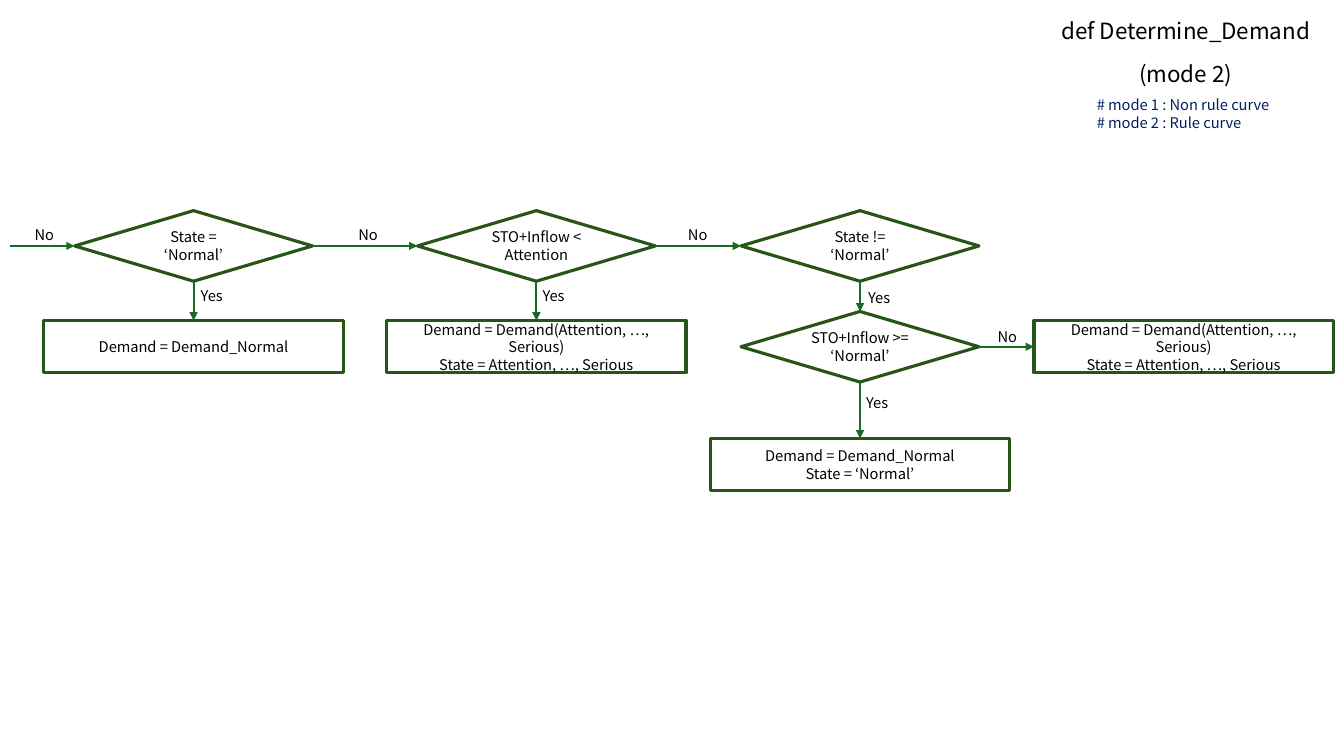
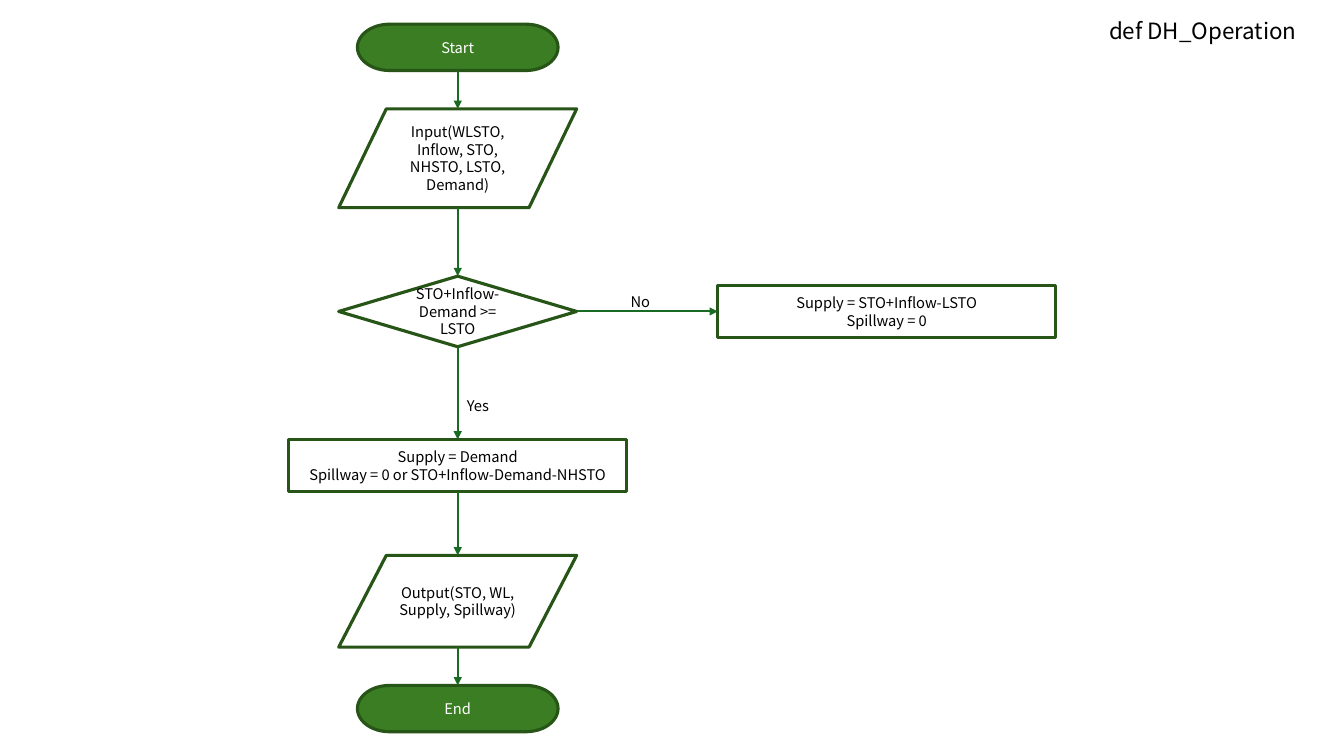
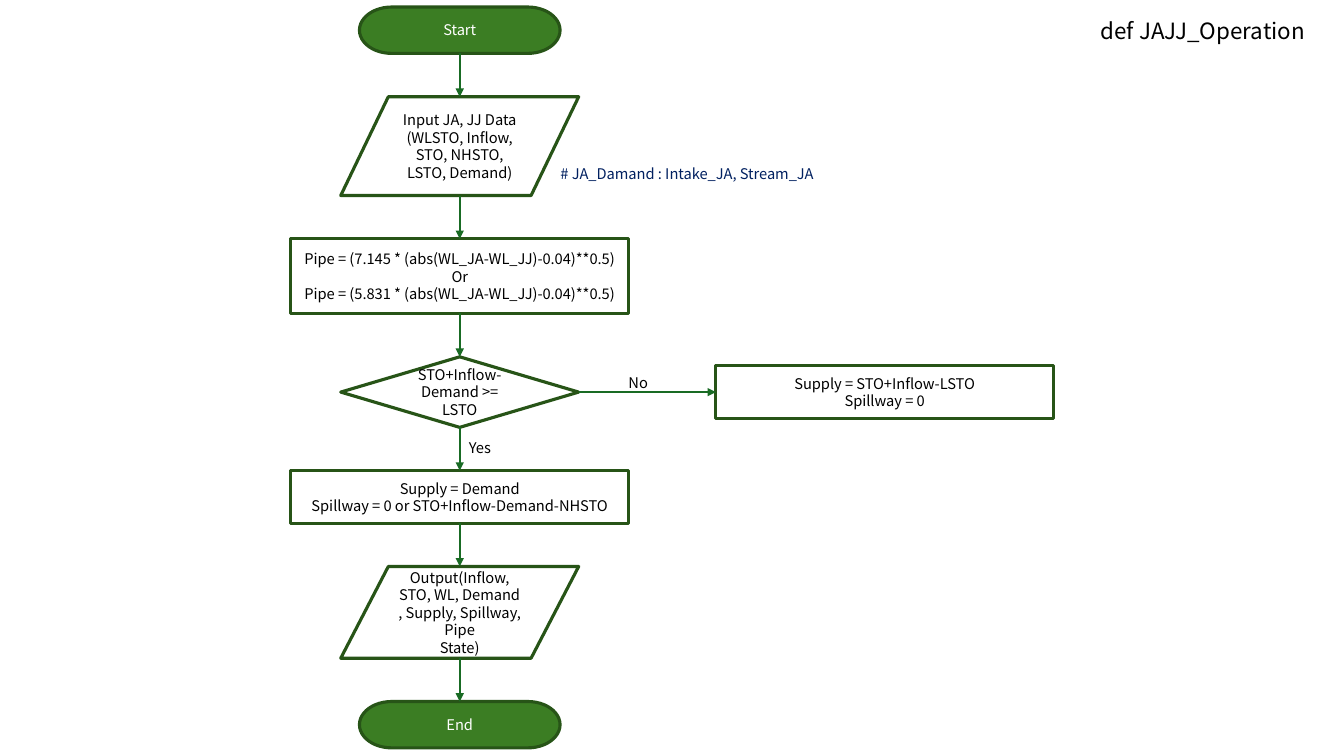
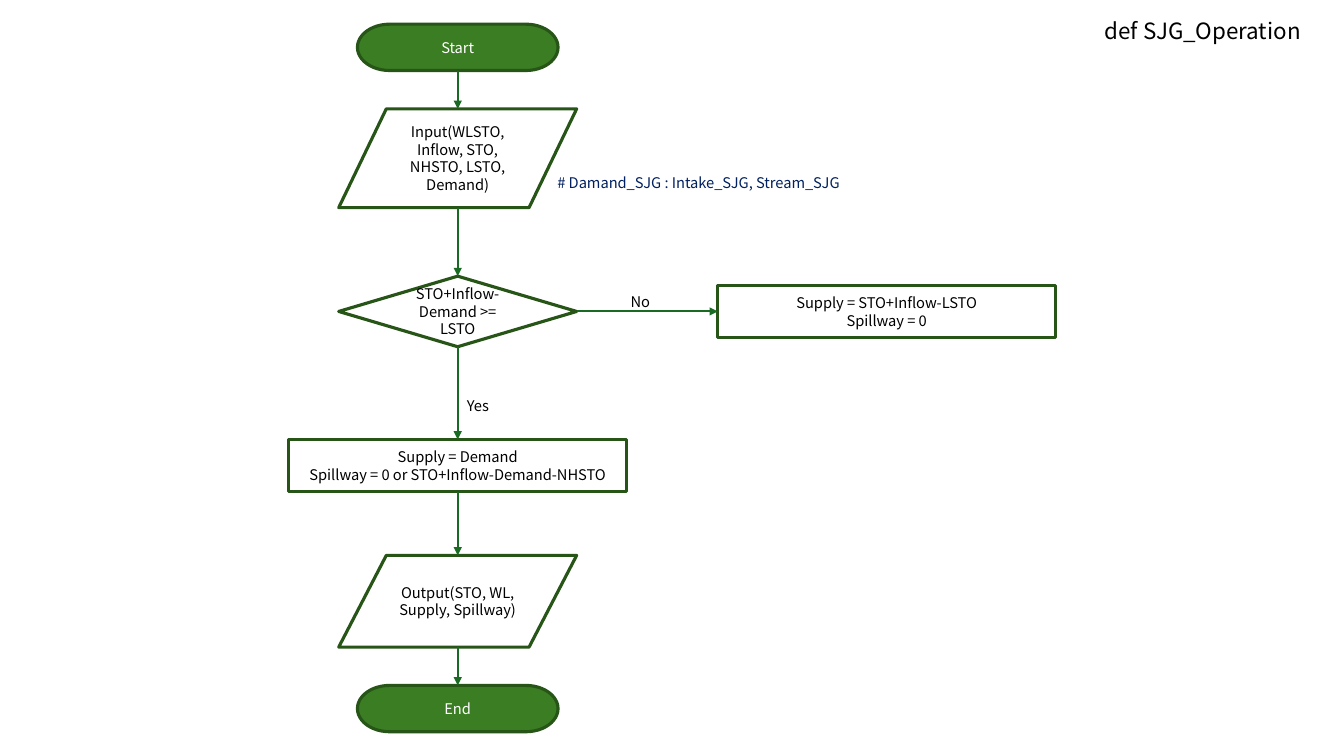
from dataclasses import dataclass

from lxml.etree import SubElement
from pptx import Presentation
from pptx.dml.color import RGBColor
from pptx.enum.shapes import MSO_CONNECTOR, MSO_SHAPE
from pptx.enum.text import MSO_ANCHOR, MSO_AUTO_SIZE, PP_ALIGN
from pptx.oxml.ns import qn
from pptx.util import Emu, Pt


@dataclass(frozen=True)
class Theme:
    font: str = "Noto Sans CJK KR"
    text: str = "000000"
    note: str = "002060"
    light: str = "FFFFFF"
    fill: str = "3B7D23"
    outline: str = "275417"
    arrow: str = "196B24"
    title_size: float = 16
    body_size: float = 10.5
    line_spacing: float = 12.5
    outline_width: float = 2.25
    arrow_width: float = 1.5


THEME = Theme()
PX = 9144
SLIDE_SIZE = (1333, 750)
TITLE_SIZE = (284, 52)
LABEL_SIZE = (80, 23)
TOP, LEFT, BOTTOM, RIGHT = range(4)

KINDS = {
    "terminal": (MSO_SHAPE.FLOWCHART_TERMINATOR, 199, 46),
    "input": (MSO_SHAPE.FLOWCHART_DATA, 236, 98),
    "output": (MSO_SHAPE.FLOWCHART_DATA, 236, 91),
    "decision": (MSO_SHAPE.FLOWCHART_DECISION, 236, 70),
    "demand": (MSO_SHAPE.RECTANGLE, 297, 52),
    "supply": (MSO_SHAPE.RECTANGLE, 335, 52),
    "pipe": (MSO_SHAPE.RECTANGLE, 335, 74),
}

SHORTAGE = ["Demand = Demand(Attention, …, Serious)", "State = Attention, …, Serious"]
DEMAND_CHART = {
    "titles": [("def Determine_Demand", 1034, 4), ("(mode 2)", 1034, 47)],
    "notes": [(["# mode 1 : Non rule curve", "# mode 2 : Rule curve"], 1078, 87, 196)],
    "boxes": {
        "is normal": ("decision", 192, 209, ["State = ‘Normal’"]),
        "keep normal": ("demand", 192, 318, ["Demand = Demand_Normal"]),
        "is low": ("decision", 532, 209, ["STO+Inflow < Attention"]),
        "enter shortage": ("demand", 532, 318, SHORTAGE),
        "not normal": ("decision", 853, 209, ["State != ‘Normal’"]),
        "is recovered": ("decision", 853, 309, ["STO+Inflow >= ‘Normal’"]),
        "return normal": ("demand", 853, 435, ["Demand = Demand_Normal", "State = ‘Normal’"]),
        "stay short": ("demand", 1174, 318, SHORTAGE),
    },
    "arrows": [
        ((10, 244), "is normal", LEFT),
        ("is normal", "keep normal", TOP),
        ("is normal", "is low", LEFT),
        ("is low", "enter shortage", TOP),
        ("is low", "not normal", LEFT),
        ("not normal", "is recovered", TOP),
        ("is recovered", "stay short", LEFT),
        ("is recovered", "return normal", TOP),
    ],
    "labels": [
        ("No", 4, 221), ("No", 325, 221), ("No", 652, 221), ("No", 959, 323),
        ("Yes", 170, 282), ("Yes", 509, 282), ("Yes", 832, 284), ("Yes", 830, 388),
    ],
}

START = ("terminal", ["Start"])
END = ("terminal", ["End"])
INPUT = ("input", ["Input(WLSTO, Inflow, STO, NHSTO, LSTO, Demand)"])
CHECK = ("decision", ["STO+Inflow-Demand >= LSTO"])
SUPPLY = ("supply", ["Supply = Demand", "Spillway = 0 or STO+Inflow-Demand-NHSTO"])
OUTPUT = ("output", ["Output(STO, WL, Supply, Spillway)"])
SHORT_SUPPLY = ["Supply = STO+Inflow-LSTO", "Spillway = 0"]

BASIC_FLOW = {
    "steps": [START, INPUT, CHECK, SUPPLY, OUTPUT, END],
    "gaps": [38, 68, 92, 63, 38],
    "center": 454, "top": 24, "branch_left": 712,
    "labels": [("No", 595, 288), ("Yes", 434, 391)],
}
PIPE_FLOW = {
    "steps": [
        START,
        ("input", ["Input JA, JJ Data (WLSTO, Inflow, STO, NHSTO, LSTO, Demand)"]),
        ("pipe", ["Pipe = (7.145 * (abs(WL_JA-WL_JJ)-0.04)**0.5)", "Or",
                  "Pipe = (5.831 * (abs(WL_JA-WL_JJ)-0.04)**0.5)"]),
        CHECK,
        SUPPLY,
        ("output", ["Output(Inflow, STO, WL, Demand , Supply, Spillway, Pipe", "State)"]),
        END,
    ],
    "gaps": [43] * 6,
    "center": 456, "top": 7, "branch_left": 710,
    "labels": [("No", 593, 368), ("Yes", 436, 433)],
}


def operation_chart(title, flow, notes=()):
    boxes, arrows = {}, []
    top, previous = flow["top"], None
    for index, ((kind, lines), gap) in enumerate(zip(flow["steps"], flow["gaps"] + [0])):
        height = KINDS[kind][2]
        boxes[index] = (kind, flow["center"], top, lines)
        if previous is not None:
            arrows.append((previous, index, TOP))
        if kind == "decision":
            branch_width, branch_height = KINDS["supply"][1:]
            branch_center = flow["branch_left"] + branch_width / 2
            branch_top = top + (height - branch_height) / 2
            boxes["branch"] = ("supply", branch_center, branch_top, SHORT_SUPPLY)
            arrows.append((index, "branch", LEFT))
        top += height + gap
        previous = index
    return {"titles": [(title, 1051, 4)], "notes": notes, "boxes": boxes,
            "arrows": arrows, "labels": flow["labels"]}


CHARTS = [
    DEMAND_CHART,
    operation_chart("def DH_Operation", BASIC_FLOW),
    operation_chart("def JAJJ_Operation", PIPE_FLOW,
                    [(["# JA_Damand : Intake_JA, Stream_JA"], 546, 146, 292)]),
    operation_chart("def SJG_Operation", BASIC_FLOW,
                    [(["# Damand_SJG : Intake_SJG, Stream_SJG"], 543, 155, 316)]),
]


def emu(*lengths):
    return [Emu(round(length * PX)) for length in lengths]


def write_lines(shape, lines, color=THEME.text, size=THEME.body_size, align=PP_ALIGN.CENTER):
    frame = shape.text_frame
    frame.word_wrap = True
    frame.auto_size = MSO_AUTO_SIZE.NONE
    frame.vertical_anchor = MSO_ANCHOR.MIDDLE
    for index, line in enumerate(lines):
        paragraph = frame.add_paragraph() if index else frame.paragraphs[0]
        paragraph.alignment = align
        if size == THEME.body_size:
            paragraph.line_spacing = Pt(THEME.line_spacing)
        run = paragraph.add_run()
        run.text = line
        run.font.name = THEME.font
        run.font.size = Pt(size)
        run.font.color.rgb = RGBColor.from_string(color)


def add_text(slide, lines, left, top, width, height, **style):
    text_box = slide.shapes.add_textbox(*emu(left, top, width, height))
    write_lines(text_box, lines, **style)


def add_titles(slide, titles):
    (text, left, top), *others = titles
    title = slide.shapes.title
    title.left, title.top, title.width, title.height = emu(left, top, *TITLE_SIZE)
    write_lines(title, [text], size=THEME.title_size)
    for text, left, top in others:
        add_text(slide, [text], left, top, *TITLE_SIZE, size=THEME.title_size)


def add_box(slide, kind, center, top, lines):
    preset, width, height = KINDS[kind]
    shape = slide.shapes.add_shape(preset, *emu(center - width / 2, top, width, height))
    shape.shadow.inherit = False
    shape.line.color.rgb = RGBColor.from_string(THEME.outline)
    shape.line.width = Pt(THEME.outline_width)
    if kind == "terminal":
        shape.fill.solid()
        shape.fill.fore_color.rgb = RGBColor.from_string(THEME.fill)
    else:
        shape.fill.background()
    write_lines(shape, lines, color=THEME.light if kind == "terminal" else THEME.text)
    return shape


def side_point(shape, side):
    x = shape.left + shape.width * {LEFT: 0, RIGHT: 2}.get(side, 1) // 2
    y = shape.top + shape.height * {TOP: 0, BOTTOM: 2}.get(side, 1) // 2
    return Emu(x), Emu(y)


def add_arrow(slide, shapes, source, target, target_side):
    source_side = BOTTOM if target_side == TOP else RIGHT
    source_shape, target_shape = shapes.get(source), shapes[target]
    begin = side_point(source_shape, source_side) if source_shape else emu(*source)
    end = side_point(target_shape, target_side)
    connector = slide.shapes.add_connector(MSO_CONNECTOR.STRAIGHT, *begin, *end)
    if source_shape and source_shape.auto_shape_type != MSO_SHAPE.FLOWCHART_DATA:
        connector.begin_connect(source_shape, source_side)
    if target_shape.auto_shape_type != MSO_SHAPE.FLOWCHART_DATA:
        connector.end_connect(target_shape, target_side)
    connector.line.color.rgb = RGBColor.from_string(THEME.arrow)
    connector.line.width = Pt(THEME.arrow_width)
    properties = connector.element.spPr
    SubElement(properties.find(qn("a:ln")), qn("a:tailEnd"), type="triangle")
    SubElement(properties, qn("a:effectLst"))


def add_chart_slide(presentation, chart):
    slide = presentation.slides.add_slide(presentation.slide_layouts[5])
    add_titles(slide, chart["titles"])
    shapes = {name: add_box(slide, *box) for name, box in chart["boxes"].items()}
    for arrow in chart["arrows"]:
        add_arrow(slide, shapes, *arrow)
    for text, left, top in chart["labels"]:
        add_text(slide, [text], left, top, *LABEL_SIZE)
    for lines, left, top, width in chart["notes"]:
        add_text(slide, lines, left, top, width, 52, color=THEME.note, align=PP_ALIGN.LEFT)


def main():
    presentation = Presentation()
    presentation.slide_width, presentation.slide_height = emu(*SLIDE_SIZE)
    for chart in CHARTS:
        add_chart_slide(presentation, chart)
    presentation.save("out.pptx")


if __name__ == "__main__":
    main()
